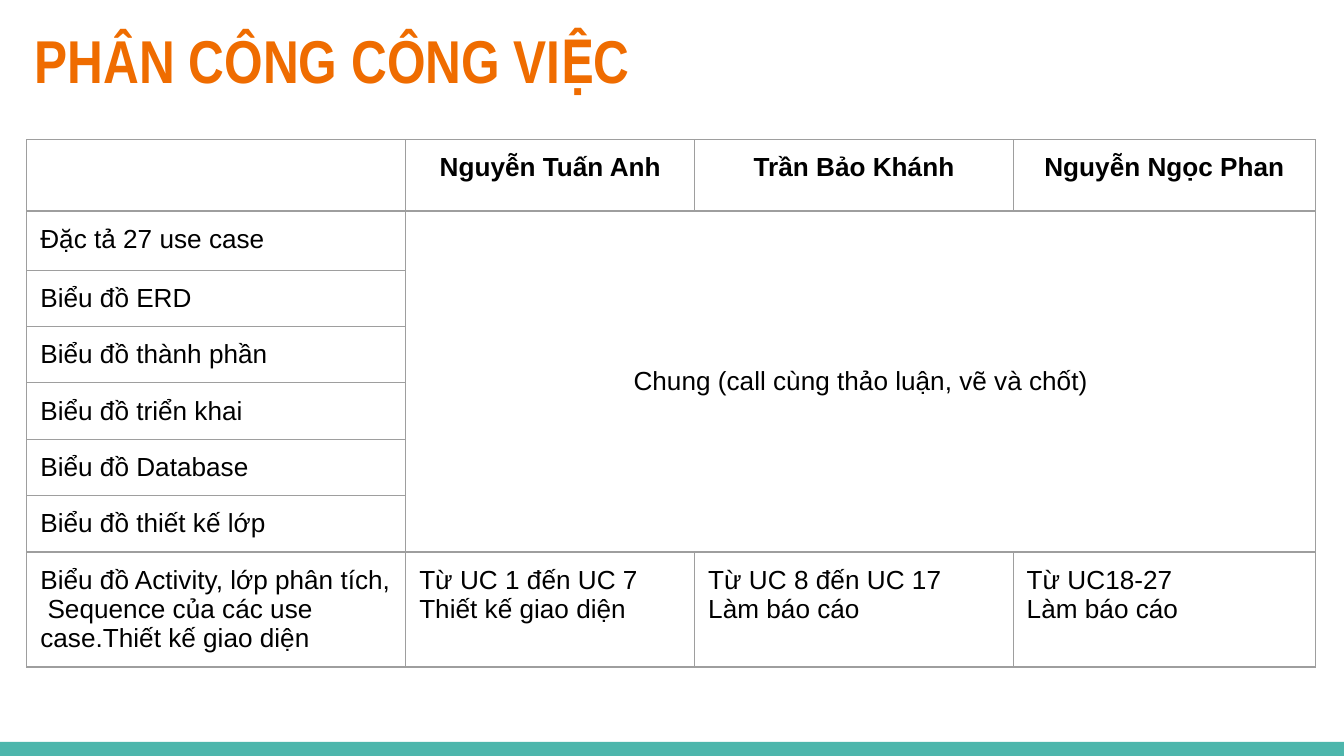
from lxml.etree import SubElement
from pptx import Presentation
from pptx.dml.color import RGBColor
from pptx.enum.shapes import MSO_SHAPE
from pptx.enum.text import MSO_ANCHOR, MSO_AUTO_SIZE, PP_ALIGN
from pptx.oxml.ns import qn
from pptx.util import Inches, Pt

SLIDE_WIDTH = 10
SLIDE_HEIGHT = SLIDE_WIDTH * 9 / 16
TEAL, ORANGE, BLACK, WHITE, GREY = "4DB6AC", "EF6C00", "000000", "FFFFFF", "9E9E9E"
COL_WIDTHS = [2.82, 2.15, 2.37, 2.25]
ROW_HEIGHTS = [0.53, 0.44, 0.41, 0.42, 0.42, 0.42, 0.42, 0.76]

MEMBERS = ["", "Nguyễn Tuấn Anh", "Trần Bảo Khánh", "Nguyễn Ngọc Phan"]
SHARED_TASKS = [
    "Đặc tả 27 use case",
    "Biểu đồ ERD",
    "Biểu đồ thành phần",
    "Biểu đồ triển khai",
    "Biểu đồ Database",
    "Biểu đồ thiết kế lớp",
]
SHARED_NOTE = "Chung (call cùng thảo luận, vẽ và chốt)"
SPLIT_TASKS = [
    "Biểu đồ Activity, lớp phân tích,  Sequence của các use case.Thiết kế giao diện",
    "Từ UC 1 đến UC 7\nThiết kế giao diện",
    "Từ UC 8 đến UC 17\nLàm báo cáo",
    "Từ UC18-27\nLàm báo cáo",
]


def rgb(color):
    return RGBColor.from_string(color)


def format_text(tf, font, size, color, bold=False, align=PP_ALIGN.LEFT):
    for p in tf.paragraphs:
        p.alignment = align
        for r in p.runs:
            r.font.name = font
            r.font.size = Pt(size)
            r.font.bold = bold
            r.font.color.rgb = rgb(color)


def set_margins(item):
    """Give a text frame or a cell the same inset on every side."""
    item.margin_left = item.margin_right = Inches(0.1)
    item.margin_top = item.margin_bottom = Inches(0.1)


def add_footer_bar(slide):
    sp = slide.shapes.add_shape(
        MSO_SHAPE.RECTANGLE, 0, Inches(5.52), Inches(SLIDE_WIDTH), Inches(0.11))
    sp.shadow.inherit = False
    sp.fill.solid()
    sp.fill.fore_color.rgb = rgb(TEAL)
    sp.line.fill.background()


def set_title(slide, text):
    title = slide.shapes.title
    title.left, title.top = Inches(0.16), Inches(0.07)
    title.width, title.height = Inches(9.32), Inches(0.77)
    tf = title.text_frame
    tf.text = text
    tf.auto_size = MSO_AUTO_SIZE.NONE
    tf.vertical_anchor = MSO_ANCHOR.TOP
    set_margins(tf)
    format_text(tf, "Arial Narrow", 32.4, ORANGE, bold=True)


def style_cell(cell):
    """Plain white cell with a thin grey border and small empty lines."""
    set_margins(cell)
    cell.fill.solid()
    cell.fill.fore_color.rgb = rgb(WHITE)
    tc_pr = cell._tc.get_or_add_tcPr()
    for i, side in enumerate(("a:lnL", "a:lnR", "a:lnT", "a:lnB")):
        ln = SubElement(tc_pr, qn(side), w=str(Pt(0.75)))
        fill = SubElement(ln, qn("a:solidFill"))
        SubElement(fill, qn("a:srgbClr"), val=GREY)
        tc_pr.insert(i, ln)
    for p in cell.text_frame.paragraphs:
        if not p.runs:
            SubElement(p._p, qn("a:endParaRPr"), sz="1400")


def add_task_table(slide):
    rows = [MEMBERS, *([task, "", "", ""] for task in SHARED_TASKS), SPLIT_TASKS]
    rows[1][1] = SHARED_NOTE
    table = slide.shapes.add_table(
        len(rows), len(COL_WIDTHS), Inches(0.2), Inches(1.04),
        Inches(sum(COL_WIDTHS)), Inches(sum(ROW_HEIGHTS))).table
    table.first_row = table.horz_banding = False
    for col, width in zip(table.columns, COL_WIDTHS):
        col.width = Inches(width)
    for row, height in zip(table.rows, ROW_HEIGHTS):
        row.height = Inches(height)

    for i, texts in enumerate(rows):
        for j, text in enumerate(texts):
            cell = table.cell(i, j)
            if text:
                cell.text_frame.text = text
            centred = i == 0 or text == SHARED_NOTE
            format_text(cell.text_frame, "Arial", 14, BLACK, bold=i == 0,
                        align=PP_ALIGN.CENTER if centred else PP_ALIGN.LEFT)
            style_cell(cell)

    note = table.cell(1, 1)
    note.merge(table.cell(len(SHARED_TASKS), 3))
    note.vertical_anchor = MSO_ANCHOR.MIDDLE


def main():
    prs = Presentation()
    prs.slide_width, prs.slide_height = Inches(SLIDE_WIDTH), Inches(SLIDE_HEIGHT)
    slide = prs.slides.add_slide(prs.slide_layouts[5])
    add_footer_bar(slide)
    set_title(slide, "PHÂN CÔNG CÔNG VIỆC")
    add_task_table(slide)
    prs.save("out.pptx")


if __name__ == "__main__":
    main()
